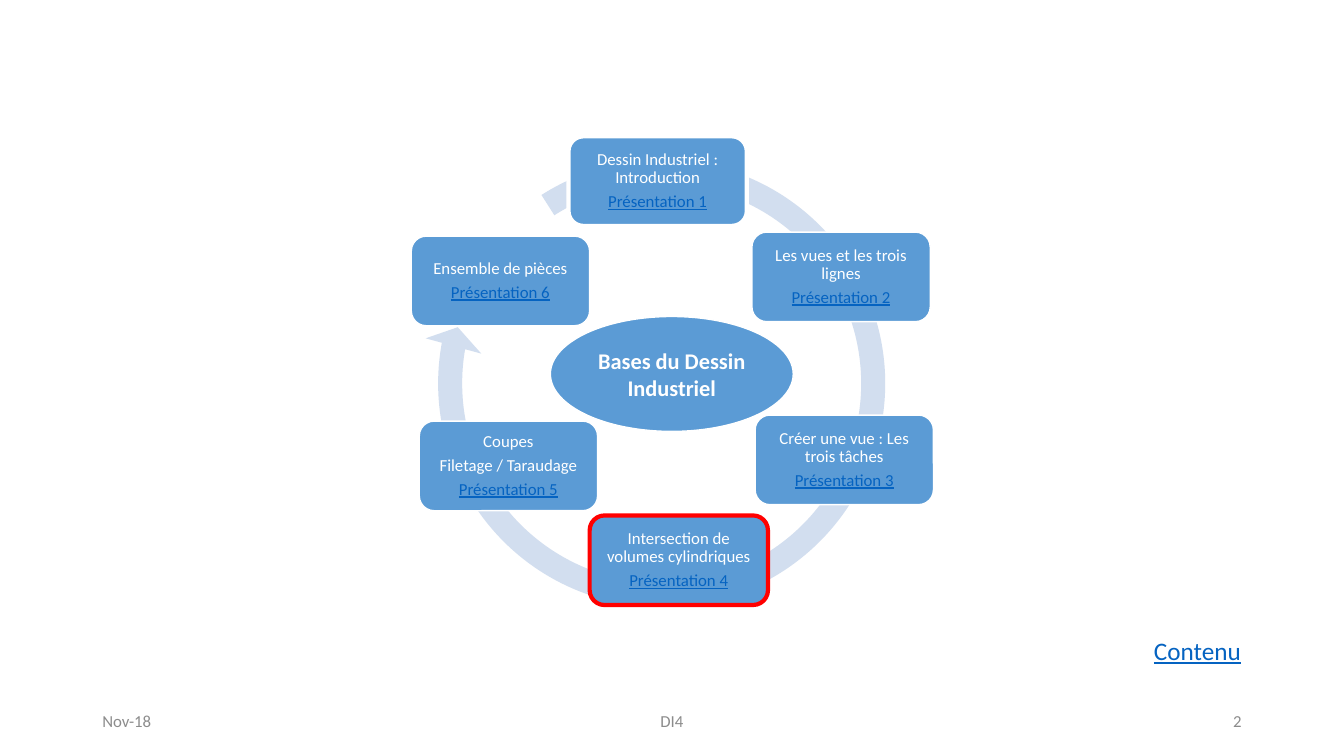
from dataclasses import dataclass

from pptx import Presentation
from pptx.dml.color import RGBColor
from pptx.enum.shapes import MSO_SHAPE
from pptx.enum.text import MSO_ANCHOR, PP_ALIGN
from pptx.shapes.autoshape import Shape
from pptx.slide import Slide
from pptx.text.text import TextFrame
from pptx.util import Pt

ROUNDED = MSO_SHAPE.ROUNDED_RECTANGLE
OVAL = MSO_SHAPE.OVAL
CIRCULAR_ARROW = MSO_SHAPE.CIRCULAR_ARROW
MIDDLE = MSO_ANCHOR.MIDDLE
TOP = MSO_ANCHOR.TOP
LEFT = PP_ALIGN.LEFT
CENTER = PP_ALIGN.CENTER
RIGHT = PP_ALIGN.RIGHT

WHITE = RGBColor(0xFF, 0xFF, 0xFF)
BLUE = RGBColor(0x5B, 0x9B, 0xD5)
PALE_BLUE = RGBColor(0xD2, 0xDE, 0xEF)
LINK_BLUE = RGBColor(0x05, 0x63, 0xC1)
GREY = RGBColor(0x8C, 0x8C, 0x8C)
RED = RGBColor(0xFF, 0x00, 0x00)

FONT = "Calibri"
TOPIC_WIDTH = 127.4
TOPIC_HEIGHT = 64


@dataclass(frozen=True)
class Topic:
    left: float
    top: float
    title: str
    outline: RGBColor = WHITE
    outline_width: float = 1


@dataclass(frozen=True)
class Label:
    left: float
    top: float
    width: float
    text: str
    align: PP_ALIGN
    size: float = 12
    color: RGBColor = GREY
    underline: bool = False
    anchor: MSO_ANCHOR = MIDDLE


TOPICS = [
    Topic(406.1, 97.4, "Dessin Industriel : Introduction", outline_width=3),
    Topic(537.1, 165.8, "Les vues et les trois lignes"),
    Topic(539.4, 296.5, "Créer une vue : Les trois tâches"),
    Topic(421.2, 368.2, "Intersection de volumes cylindriques", RED, 3),
    Topic(299.5, 300.8, "Coupes\nFiletage / Taraudage"),
    Topic(293.8, 168.7, "Ensemble de pièces"),
]

LABELS = [
    Label(66, 500.5, 216, "Nov-18", LEFT),
    Label(318, 500.5, 324, "DI4", CENTER),
    Label(678, 500.5, 216, "2", RIGHT),
    Label(817.2, 450, 88.6, "Contenu", LEFT, 18, LINK_BLUE, True, TOP),
]


def write(frame: TextFrame, text: str, align: PP_ALIGN, size: float,
          color: RGBColor, bold: bool = False) -> None:
    frame.word_wrap = True
    frame.text = text
    for paragraph in frame.paragraphs:
        paragraph.alignment = align
        for run in paragraph.runs:
            run.font.name = FONT
            run.font.size = Pt(size)
            run.font.bold = bold
            run.font.color.rgb = color


def add_filled(slide: Slide, preset: MSO_SHAPE, left: float, top: float,
               width: float, height: float, fill: RGBColor) -> Shape:
    shape = slide.shapes.add_shape(
        preset, Pt(left), Pt(top), Pt(width), Pt(height))
    shape.shadow.inherit = False
    shape.fill.solid()
    shape.fill.fore_color.rgb = fill
    shape.line.fill.background()
    return shape


def outline(shape: Shape, color: RGBColor, width: float) -> None:
    shape.line.color.rgb = color
    shape.line.width = Pt(width)


def add_cycle(slide: Slide) -> None:
    cycle = add_filled(
        slide, CIRCULAR_ARROW, 301, 102.2, 343.4, 343.4, PALE_BLUE)
    cycle.rotation = 312.4
    for index, value in enumerate((0.05, 3.13, 142.68, 171.04, 0.06)):
        cycle.adjustments[index] = value


def add_topic(slide: Slide, topic: Topic, number: int) -> None:
    card = add_filled(slide, ROUNDED, topic.left, topic.top,
                      TOPIC_WIDTH, TOPIC_HEIGHT, BLUE)
    outline(card, topic.outline, topic.outline_width)
    frame = card.text_frame
    frame.margin_left = frame.margin_right = Pt(3.6)
    frame.margin_top = frame.margin_bottom = Pt(3.6)
    frame.vertical_anchor = MIDDLE
    write(frame, f"{topic.title}\nPrésentation {number}", CENTER, 12, WHITE)
    for paragraph in frame.paragraphs:
        paragraph.line_spacing = 0.9
        paragraph.space_after = Pt(4.2)
    link = frame.paragraphs[-1].runs[0].font
    link.color.rgb = LINK_BLUE
    link.underline = True


def add_hub(slide: Slide) -> None:
    hub = add_filled(slide, OVAL, 393.1, 226.1, 173.5, 82.1, BLUE)
    outline(hub, WHITE, 1)
    hub.text_frame.vertical_anchor = MIDDLE
    write(hub.text_frame, "Bases du Dessin Industriel", CENTER, 16, WHITE, True)


def add_label(slide: Slide, label: Label) -> None:
    box = slide.shapes.add_textbox(
        Pt(label.left), Pt(label.top), Pt(label.width), Pt(28.8))
    frame = box.text_frame
    frame.vertical_anchor = label.anchor
    write(frame, label.text, label.align, label.size, label.color)
    frame.paragraphs[0].runs[0].font.underline = label.underline


def main() -> None:
    deck = Presentation()
    deck.slide_width = Pt(960)
    deck.slide_height = Pt(540)
    slide = deck.slides.add_slide(deck.slide_layouts[6])
    add_cycle(slide)
    for number, topic in enumerate(TOPICS, start=1):
        add_topic(slide, topic, number)
    add_hub(slide)
    for label in LABELS:
        add_label(slide, label)
    deck.save("out.pptx")


if __name__ == "__main__":
    main()
